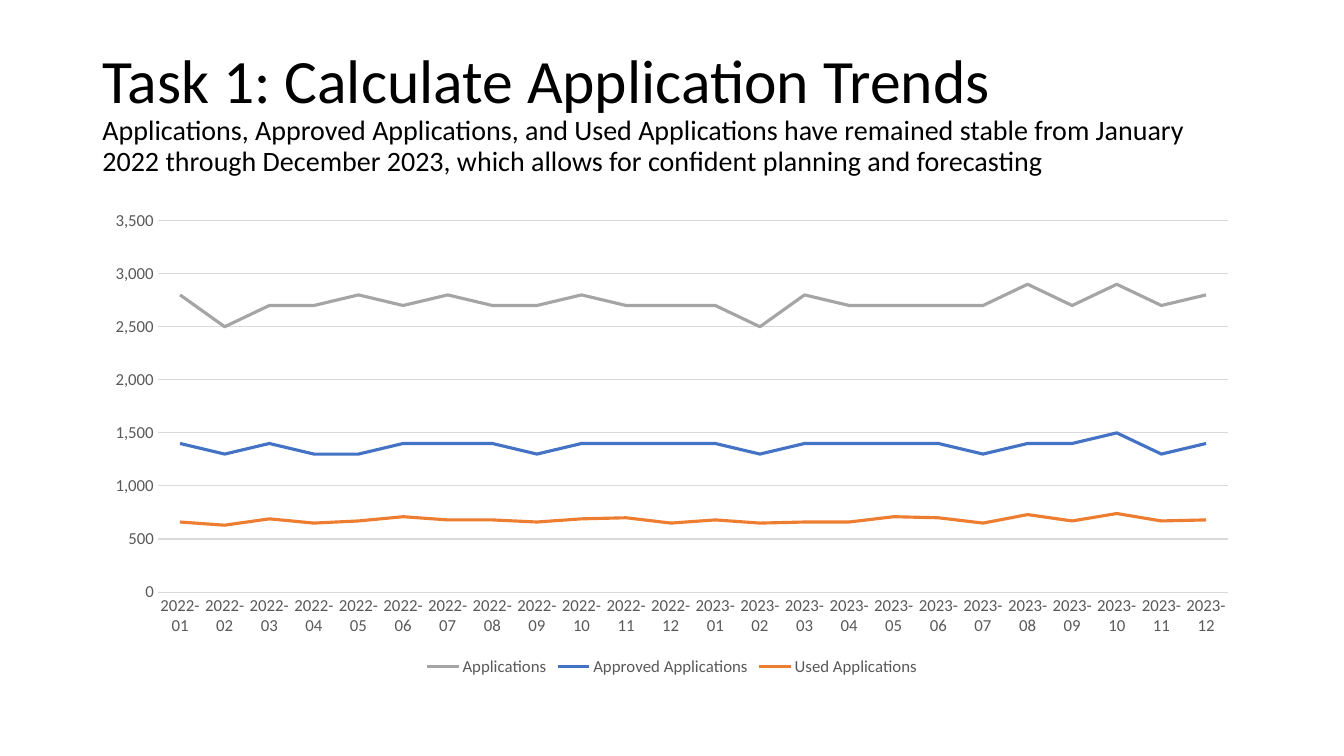
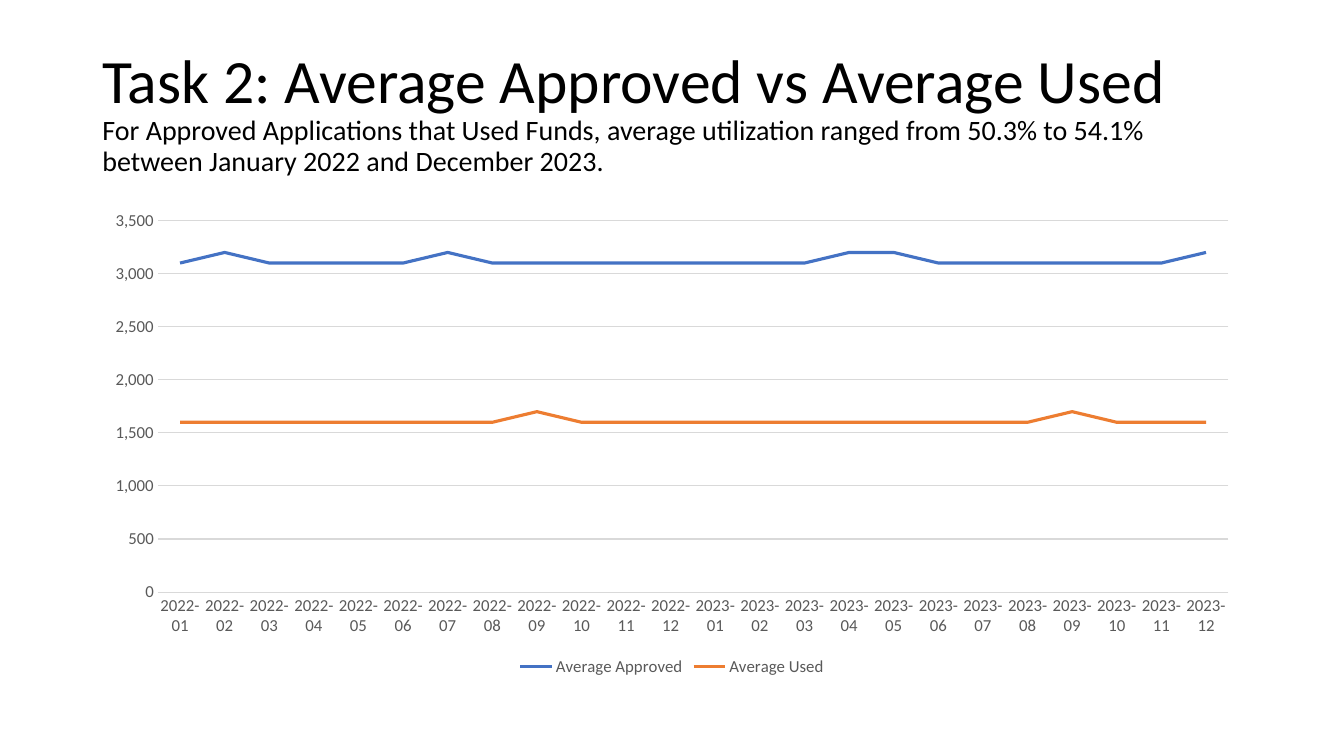
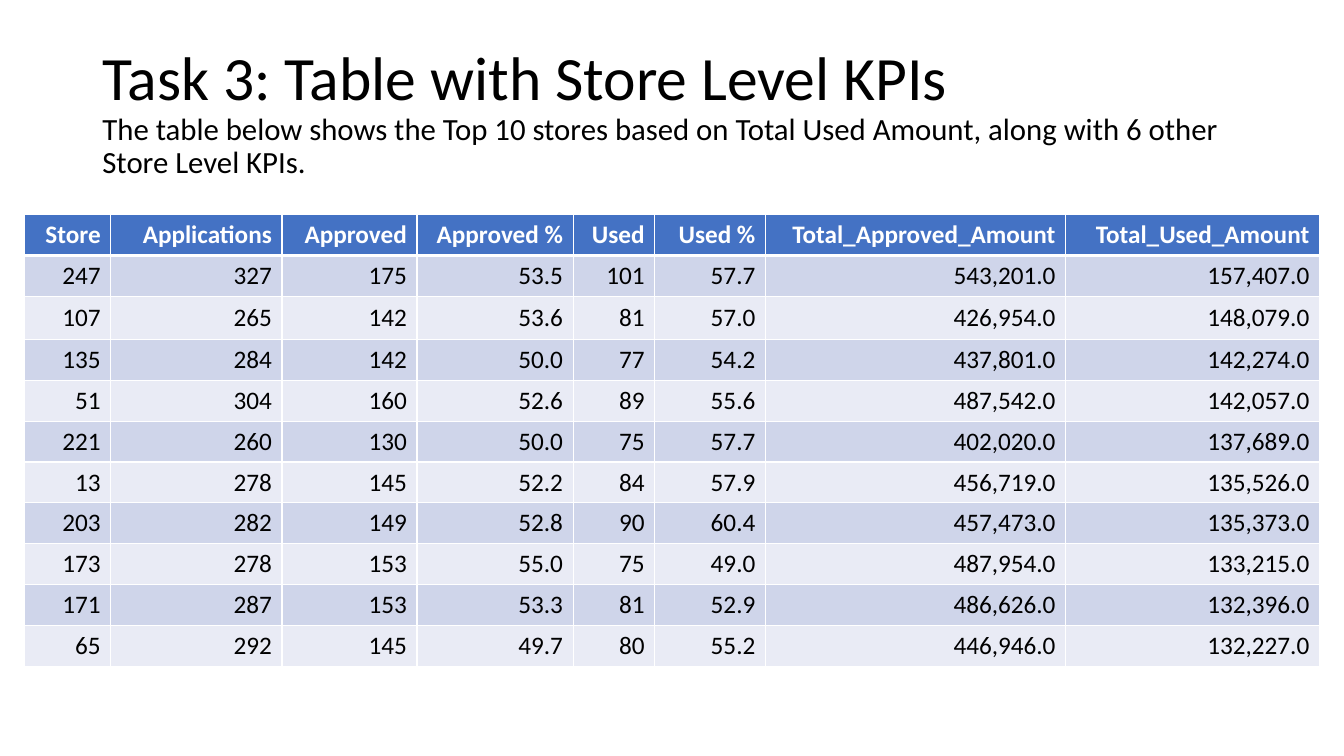
import pptx
import pptx.chart.data
import pptx.dml.color
import pptx.enum.chart
import pptx.enum.text
import pptx.oxml
import pptx.oxml.ns
import pptx.util

COLORS = {
    "black": "000000", "white": "FFFFFF", "label": "595959", "grid": "D9D9D9",
    "gray": "A5A5A5", "blue": "4472C4", "orange": "ED7D31",
    "band_dark": "CFD5EA", "band_light": "E9EBF5",
}
MONTHS = [f"{year}-{month:02d}" for year in (2022, 2023) for month in range(1, 13)]
APPLICATION_TRENDS = [
    ("Applications", "gray",
     [2800, 2500, 2700, 2700, 2800, 2700, 2800, 2700, 2700, 2800, 2700, 2700,
      2700, 2500, 2800, 2700, 2700, 2700, 2700, 2900, 2700, 2900, 2700, 2800]),
    ("Approved Applications", "blue",
     [1400, 1300, 1400, 1300, 1300, 1400, 1400, 1400, 1300, 1400, 1400, 1400,
      1400, 1300, 1400, 1400, 1400, 1400, 1300, 1400, 1400, 1500, 1300, 1400]),
    ("Used Applications", "orange",
     [660, 630, 690, 650, 670, 710, 680, 680, 660, 690, 700, 650,
      680, 650, 660, 660, 710, 700, 650, 730, 670, 740, 670, 680]),
]
AVERAGE_AMOUNTS = [
    ("Average Approved", "blue",
     [3100, 3200, 3100, 3100, 3100, 3100, 3200, 3100, 3100, 3100, 3100, 3100,
      3100, 3100, 3100, 3200, 3200, 3100, 3100, 3100, 3100, 3100, 3100, 3200]),
    ("Average Used", "orange",
     [1600, 1600, 1600, 1600, 1600, 1600, 1600, 1600, 1700, 1600, 1600, 1600,
      1600, 1600, 1600, 1600, 1600, 1600, 1600, 1600, 1700, 1600, 1600, 1600]),
]
STORE_COLUMNS = [
    ("Store", 0.86), ("Applications", 1.7), ("Approved", 1.34), ("Approved %", 1.55),
    ("Used", 0.81), ("Used %", 1.1), ("Total_Approved_Amount", 2.98), ("Total_Used_Amount", 2.52),
]
STORES = [
    ("247", "327", "175", "53.5", "101", "57.7", "543,201.0", "157,407.0"),
    ("107", "265", "142", "53.6", "81", "57.0", "426,954.0", "148,079.0"),
    ("135", "284", "142", "50.0", "77", "54.2", "437,801.0", "142,274.0"),
    ("51", "304", "160", "52.6", "89", "55.6", "487,542.0", "142,057.0"),
    ("221", "260", "130", "50.0", "75", "57.7", "402,020.0", "137,689.0"),
    ("13", "278", "145", "52.2", "84", "57.9", "456,719.0", "135,526.0"),
    ("203", "282", "149", "52.8", "90", "60.4", "457,473.0", "135,373.0"),
    ("173", "278", "153", "55.0", "75", "49.0", "487,954.0", "133,215.0"),
    ("171", "287", "153", "53.3", "81", "52.9", "486,626.0", "132,396.0"),
    ("65", "292", "145", "49.7", "80", "55.2", "446,946.0", "132,227.0"),
]
STORE_ROW_WEIGHTS = [1, 1, 1.05] + [1] * 8


def color(name):
    return pptx.dml.color.RGBColor.from_string(COLORS[name])


class Deck:
    font_name = "Calibri"
    title_area = (6.87, 5.38, 86.25, 19.33)
    chart_area = (6.87, 26.6, 86.25, 63.47)
    table_area = (1.8, 28.4, 96.4, 59.73)

    def __init__(self):
        self.presentation = pptx.Presentation()
        self.presentation.slide_width = pptx.util.Inches(13.33)
        self.presentation.slide_height = pptx.util.Inches(7.5)
        self.slide = None

    def area(self, percentages):
        sizes = (self.presentation.slide_width, self.presentation.slide_height) * 2
        return [int(size * share / 100) for size, share in zip(sizes, percentages)]

    def style_font(self, font, size, color_name, bold=False):
        font.name = self.font_name
        font.size = pptx.util.Pt(size)
        font.bold = bold
        font.color.rgb = color(color_name)

    def style_line(self, line, color_name, width):
        line.color.rgb = color(color_name)
        line.width = pptx.util.Pt(width)

    def add_slide(self, title, subtitle, subtitle_size=20):
        layout = self.presentation.slide_layouts.get_by_name("Title Only")
        self.slide = self.presentation.slides.add_slide(layout)
        shape = self.slide.shapes.title
        shape.left, shape.top, shape.width, shape.height = self.area(self.title_area)
        frame = shape.text_frame
        frame.word_wrap = True
        frame.auto_size = pptx.enum.text.MSO_AUTO_SIZE.NONE
        frame.vertical_anchor = pptx.enum.text.MSO_ANCHOR.MIDDLE
        paragraph = frame.paragraphs[0]
        paragraph.text = f"{title}\v{subtitle}"
        paragraph.alignment = pptx.enum.text.PP_ALIGN.LEFT
        paragraph.line_spacing = 0.9
        for run, size in zip(paragraph.runs, (44, subtitle_size)):
            self.style_font(run.font, size, "black")

    def add_line_chart(self, series_list):
        data = pptx.chart.data.CategoryChartData(number_format="#,##0")
        data.categories = MONTHS
        for name, _, values in series_list:
            data.add_series(name, values)
        chart = self.slide.shapes.add_chart(
            pptx.enum.chart.XL_CHART_TYPE.LINE, *self.area(self.chart_area), data).chart
        chart.has_title = False
        self.style_font(chart.font, 12, "label")
        chart.has_legend = True
        chart.legend.position = pptx.enum.chart.XL_LEGEND_POSITION.BOTTOM
        chart.legend.include_in_layout = False
        self.style_font(chart.legend.font, 12, "label")
        plot = chart.plots[0]
        plot.vary_by_categories = False
        for series, (_, color_name, _) in zip(plot.series, series_list):
            series.smooth = False
            self.style_line(series.format.line, color_name, 2.25)
        for axis in (chart.category_axis, chart.value_axis):
            axis.major_tick_mark = pptx.enum.chart.XL_TICK_MARK.NONE
            axis.minor_tick_mark = pptx.enum.chart.XL_TICK_MARK.NONE
            self.style_font(axis.tick_labels.font, 12, "label")
        self.style_line(chart.category_axis.format.line, "grid", 0.75)
        value_axis = chart.value_axis
        value_axis.minimum_scale, value_axis.maximum_scale = 0, 3500
        value_axis.major_unit = 500
        value_axis.tick_labels.number_format = "#,##0"
        value_axis.tick_labels.number_format_is_linked = False
        value_axis.format.line.fill.background()
        self.style_line(value_axis.major_gridlines.format.line, "grid", 0.75)

    def add_table(self, columns, records, row_weights):
        rows = [[heading for heading, _ in columns], *records]
        left, top, width, height = self.area(self.table_area)
        table = self.slide.shapes.add_table(
            len(rows), len(columns), left, top, width, height).table
        total_weight = sum(weight for _, weight in columns)
        for column, (_, weight) in zip(table.columns, columns):
            column.width = int(width * weight / total_weight)
        for row, weight in zip(table.rows, row_weights):
            row.height = int(height * weight / sum(row_weights))
        for row_index, texts in enumerate(rows):
            for column_index, text in enumerate(texts):
                self.fill_cell(table.cell(row_index, column_index), text, row_index)

    def fill_cell(self, cell, text, row_index):
        is_header = row_index == 0
        band = "band_dark" if row_index % 2 else "band_light"
        cell.text_frame.text = text
        cell.vertical_anchor = pptx.enum.text.MSO_ANCHOR.MIDDLE
        paragraph = cell.text_frame.paragraphs[0]
        paragraph.alignment = pptx.enum.text.PP_ALIGN.RIGHT
        self.style_font(paragraph.runs[0].font, 18, "white" if is_header else "black", is_header)
        self.add_borders(cell, {"L": 1, "R": 1, "T": 3 if row_index == 1 else 1,
                                "B": 3 if is_header else 1})
        cell.fill.solid()
        cell.fill.fore_color.rgb = color("blue" if is_header else band)

    def add_borders(self, cell, widths):
        properties = cell._tc.get_or_add_tcPr()
        for side, width in widths.items():
            properties.append(pptx.oxml.parse_xml(
                f'<a:ln{side} {pptx.oxml.ns.nsdecls("a")} w="{pptx.util.Pt(width)}">'
                f'<a:solidFill><a:srgbClr val="{COLORS["white"]}"/></a:solidFill></a:ln{side}>'))


def main():
    deck = Deck()
    deck.add_slide(
        "Task 1: Calculate Application Trends",
        "Applications, Approved Applications, and Used Applications have remained stable from "
        "January 2022 through December 2023, which allows for confident planning and forecasting")
    deck.add_line_chart(APPLICATION_TRENDS)
    deck.add_slide(
        "Task 2: Average Approved vs Average Used",
        "For Approved Applications that Used Funds, average utilization ranged from 50.3% to "
        "54.1% between January 2022 and December 2023.")
    deck.add_line_chart(AVERAGE_AMOUNTS)
    deck.add_slide(
        "Task 3: Table with Store Level KPIs",
        "The table below shows the Top 10 stores based on Total Used Amount, along with 6 other "
        "Store Level KPIs.", subtitle_size=22)
    deck.add_table(STORE_COLUMNS, STORES, STORE_ROW_WEIGHTS)
    deck.presentation.save("out.pptx")


if __name__ == "__main__":
    main()
